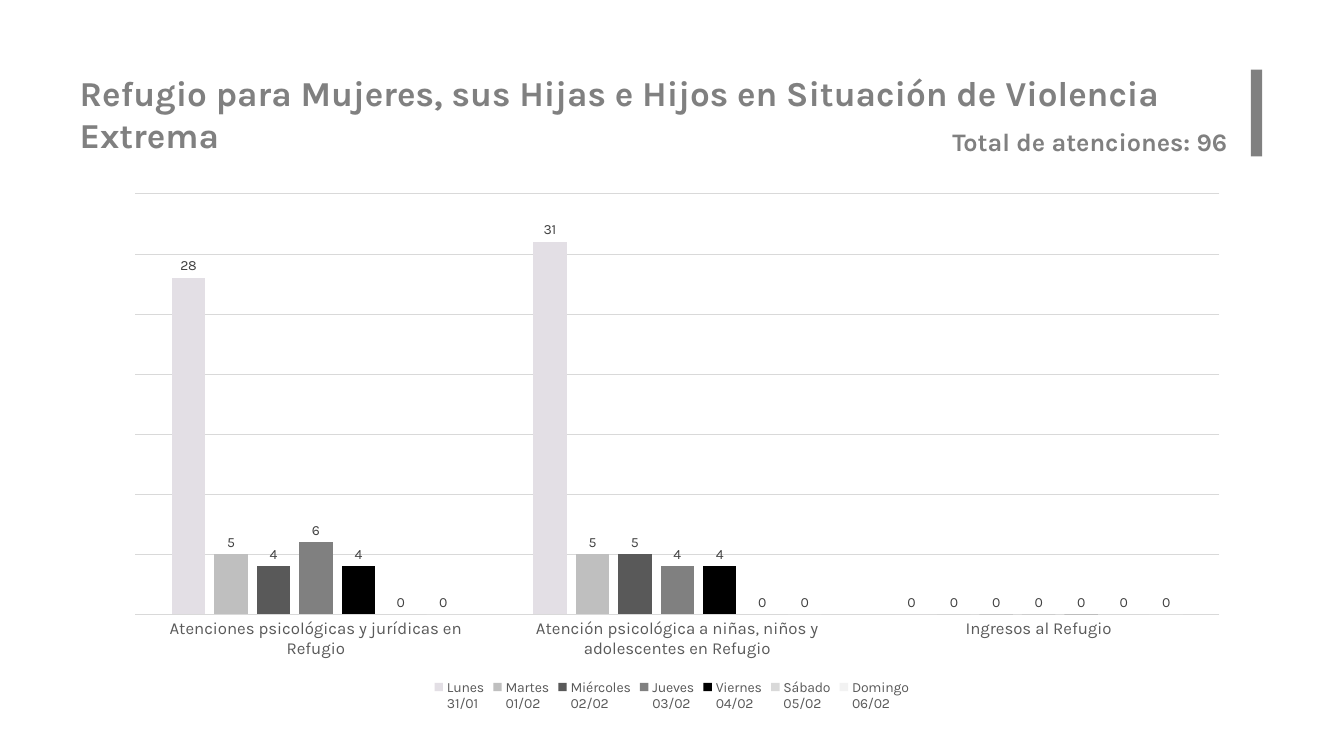
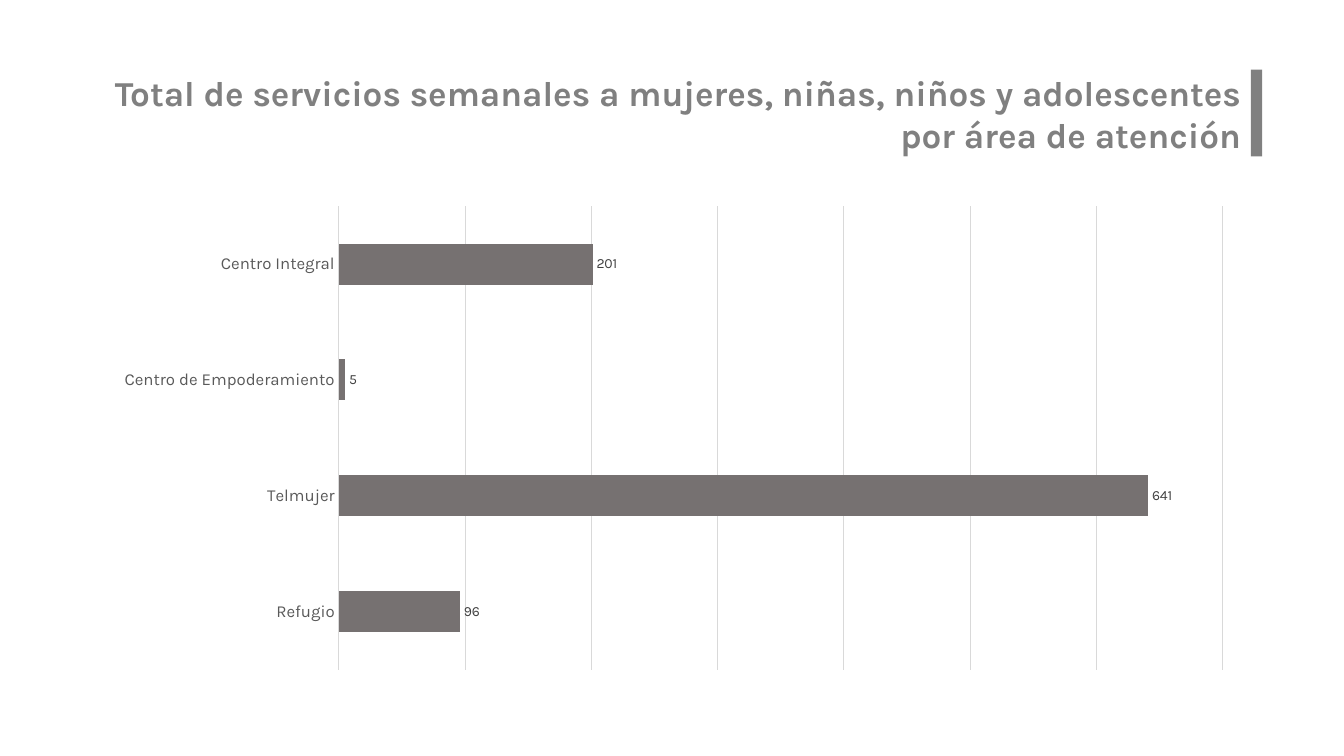
"""Build two slides of weekly care figures with native charts."""
from dataclasses import dataclass

from lxml import etree
from pptx import Presentation
from pptx.chart.data import CategoryChartData
from pptx.dml.color import RGBColor
from pptx.enum import chart as ch, shapes, text
from pptx.oxml import ns
from pptx.util import Pt


@dataclass(frozen=True)
class Theme:
    """Shared colours, font and type sizes."""
    font: str = "Karla"
    accent: str = "808080"
    axis: str = "595959"
    label: str = "404040"
    grid: str = "D9D9D9"
    title_size: int = 25
    total_size: int = 18
    axis_size: int = 12
    label_size: int = 10


T = Theme()

SLIDES = [
    dict(
        title="Refugio para Mujeres, sus Hijas e Hijos en Situación de Violencia Extrema",
        align=text.PP_ALIGN.LEFT,
        total="Total de atenciones: 96",
        kind=ch.XL_CHART_TYPE.COLUMN_CLUSTERED,
        box=(80.6, 131, 798.5, 380.2),
        plot=(0.02, 0.02, 0.97, 0.79),
        cats=["Atenciones psicológicas y jurídicas en Refugio",
              "Atención psicológica a niñas, niños y adolescentes en Refugio",
              "Ingresos al Refugio"],
        series=[
            ("Lunes\n31/01", (28, 31, 0), "E3DFE5"),
            ("Martes\n01/02", (5, 5, 0), "BFBFBF"),
            ("Miércoles\n02/02", (4, 5, 0), "595959"),
            ("Jueves\n03/02", (6, 4, 0), "808080"),
            ("Viernes\n04/02", (4, 4, 0), "000000"),
            ("Sábado\n05/02", (0, 0, 0), "D9D9D9"),
            ("Domingo\n06/02", (0, 0, 0), "F2F2F2"),
        ],
        gap=219, overlap=-27, top=35, step=5, legend=True, reverse=False,
    ),
    dict(
        title="Total de servicios semanales a mujeres, niñas, niños y adolescentes "
              "por área de atención",
        align=text.PP_ALIGN.RIGHT,
        total=None,
        kind=ch.XL_CHART_TYPE.BAR_CLUSTERED,
        box=(69.8, 140.4, 820, 344.9),
        plot=(0.21, 0.02, 0.77, 0.96),
        cats=["Centro Integral", "Centro de Empoderamiento", "Telmujer", "Refugio"],
        series=[("Servicios", (201, 5, 641, 96), "767171")],
        gap=182, overlap=0, top=700, step=100, legend=False, reverse=True,
    ),
]


def style(font, size, color, bold=False):
    font.name, font.size, font.bold = T.font, Pt(size), bold
    font.color.rgb = RGBColor.from_string(color)


def rule(line):
    line.color.rgb = RGBColor.from_string(T.grid)
    line.width = Pt(0.75)


def place(sp, box):
    sp.left, sp.top, sp.width, sp.height = map(Pt, box)


def write(sp, words, size, align):
    tf = sp.text_frame
    tf.text = words
    tf.word_wrap = True
    tf.auto_size = text.MSO_AUTO_SIZE.NONE
    tf.vertical_anchor = text.MSO_ANCHOR.TOP
    p = tf.paragraphs[0]
    p.alignment = align
    style(p.runs[0].font, size, T.accent, True)


def add_heading(s, data):
    bar = s.shapes.add_shape(shapes.MSO_SHAPE.RECTANGLE, *map(Pt, (893.5, 49.7, 8, 62)))
    bar.shadow.inherit = False
    bar.fill.solid()
    bar.fill.fore_color.rgb = RGBColor.from_string(T.accent)
    bar.line.fill.background()
    place(s.shapes.title, (49.7, 47.5, 843.8, 67.7))
    write(s.shapes.title, data["title"], T.title_size, data["align"])
    if data["total"]:
        total = s.shapes.add_textbox(*map(Pt, (673.2, 86.4, 220.3, 29)))
        write(total, data["total"], T.total_size, text.PP_ALIGN.LEFT)


def set_plot_area(chart, fractions):
    area = chart._chartSpace.find(".//" + ns.qn("c:plotArea"))
    for old in area.findall(ns.qn("c:layout")):
        area.remove(old)
    layout = etree.Element(ns.qn("c:layout"))
    manual = etree.SubElement(layout, ns.qn("c:manualLayout"))
    values = [("layoutTarget", "inner"), ("xMode", "edge"), ("yMode", "edge")]
    values += zip("xywh", fractions)
    for tag, value in values:
        etree.SubElement(manual, ns.qn("c:" + tag)).set("val", str(value))
    area.insert(0, layout)


def add_figures(s, data):
    figures = CategoryChartData(number_format="0")
    figures.categories = data["cats"]
    for name, values, _ in data["series"]:
        figures.add_series(name, values)
    chart = s.shapes.add_chart(data["kind"], *map(Pt, data["box"]), figures).chart
    style(chart.font, T.label_size, "000000")
    chart.has_title = False
    set_plot_area(chart, data["plot"])

    cat, val = chart.category_axis, chart.value_axis
    cat.major_tick_mark = cat.minor_tick_mark = ch.XL_TICK_MARK.NONE
    cat.reverse_order = data["reverse"]
    style(cat.tick_labels.font, T.axis_size, T.axis)
    rule(cat.format.line)
    val.minimum_scale, val.maximum_scale = 0, data["top"]
    val.major_unit = data["step"]
    val.has_major_gridlines = True
    rule(val.major_gridlines.format.line)
    val.visible = False

    plot = chart.plots[0]
    plot.gap_width, plot.overlap = data["gap"], data["overlap"]
    plot.vary_by_categories = False
    for series, (_, _, color) in zip(plot.series, data["series"]):
        series.format.fill.solid()
        series.format.fill.fore_color.rgb = RGBColor.from_string(color)
        labels = series.data_labels
        labels.show_value = True
        labels.position = ch.XL_LABEL_POSITION.OUTSIDE_END
        style(labels.font, T.label_size, T.label)

    chart.has_legend = data["legend"]
    if chart.has_legend:
        chart.legend.position = ch.XL_LEGEND_POSITION.BOTTOM
        chart.legend.include_in_layout = False
        style(chart.legend.font, T.label_size, T.axis)


def main():
    prs = Presentation()
    prs.slide_width, prs.slide_height = Pt(960), Pt(540)
    for data in SLIDES:
        s = prs.slides.add_slide(prs.slide_layouts.get_by_name("Title Only"))
        add_heading(s, data)
        add_figures(s, data)
    prs.save("out.pptx")


if __name__ == "__main__":
    main()
